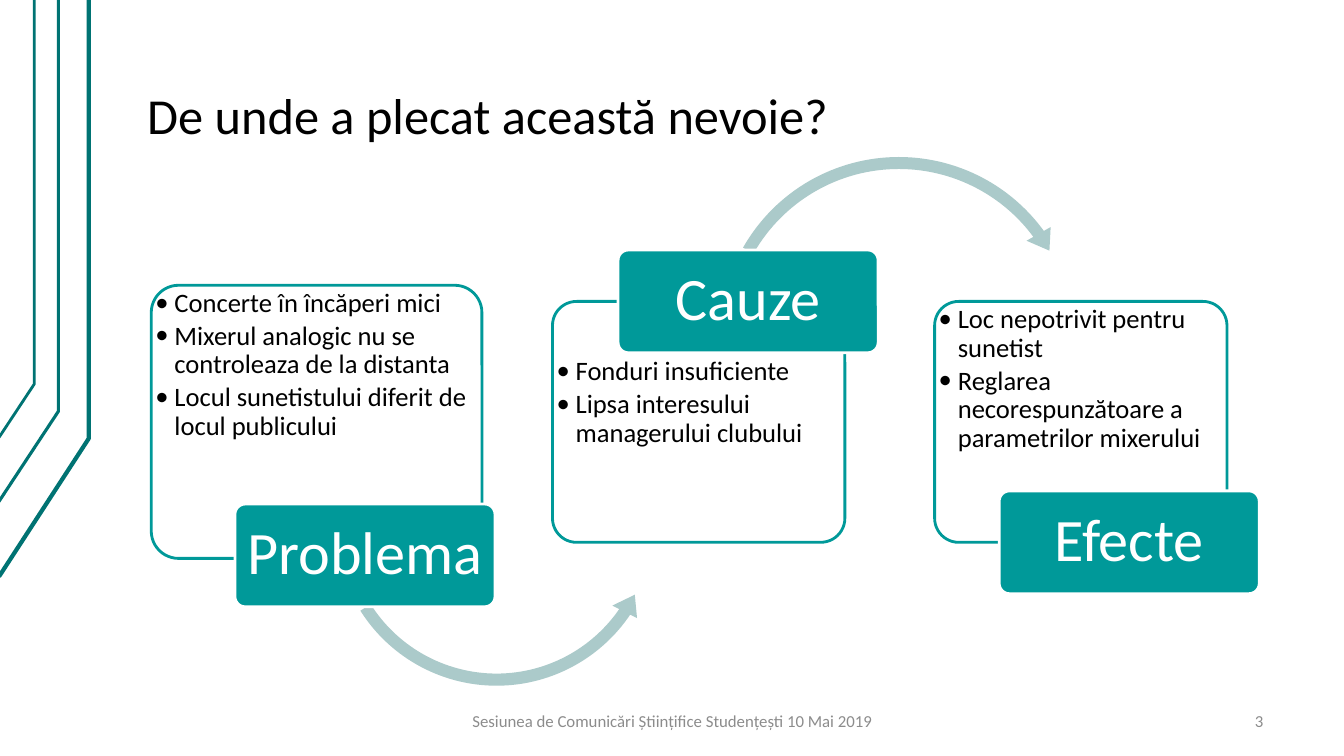
"""Build a slide linking problem, causes and effects with curved arrows."""
import lxml.etree
import pptx
import pptx.dml.color
import pptx.enum.shapes
import pptx.enum.text
import pptx.oxml.ns
import pptx.util

Inches, Pt = pptx.util.Inches, pptx.util.Pt
SHAPE = pptx.enum.shapes.MSO_SHAPE
ALIGN = pptx.enum.text.PP_ALIGN
ANCHOR = pptx.enum.text.MSO_ANCHOR
TEAL, DARK_TEAL, PALE_TEAL = "009999", "007373", "ABCACA"
WHITE, BLACK, GREY = "FFFFFF", "000000", "8C8C8C"


def paint(s, fill, line=None, width=0):
    s.shadow.inherit = False
    if fill:
        s.fill.solid()
        s.fill.fore_color.rgb = pptx.dml.color.RGBColor.from_string(fill)
    else:
        s.fill.background()
    if line:
        s.line.color.rgb = pptx.dml.color.RGBColor.from_string(line)
        s.line.width = Pt(width)
    else:
        s.line.fill.background()


def write(s, lines, size, color, align, anchor, inset, spacing=1.0, wrap=True):
    tf = s.text_frame
    tf.text = "\n".join(lines)
    tf.word_wrap = wrap
    tf.auto_size = pptx.enum.text.MSO_AUTO_SIZE.NONE
    tf.vertical_anchor = anchor
    tf.margin_left = tf.margin_right = Inches(inset[0])
    tf.margin_top = tf.margin_bottom = Inches(inset[1])
    for p in tf.paragraphs:
        p.alignment = align
        p.line_spacing = spacing
        for r in p.runs:
            r.font.size = Pt(size)
            r.font.name = "Calibri"
            r.font.color.rgb = pptx.dml.color.RGBColor.from_string(color)
    return tf


prs = pptx.Presentation()
prs.slide_width, prs.slide_height = Inches(13.33), Inches(7.5)
slide = prs.slides.add_slide(prs.slide_layouts[5])
shapes = slide.shapes

title = shapes.title
title.left, title.top, title.width, title.height = map(Inches, (1.33, 0.17, 11.33, 1.34))
write(title, ["De unde a plecat această nevoie?"], 36, BLACK,
      ALIGN.LEFT, ANCHOR.BOTTOM, (0.13, 0.07), 0.9)

for x, bend, left, bottom, width in [
    (0.88, 4.35, -0.01, 5.72, 3),
    (0.58, 4.08, -0.02, 4.99, 2.25),
    (0.34, 3.81, -0.01, 4.34, 2),
]:
    builder = shapes.build_freeform(Inches(left), Inches(bottom))
    builder.add_line_segments([(Inches(x), Inches(bend)), (Inches(x), 0)], close=False)
    paint(builder.convert_to_shape(), None, DARK_TEAL, width)

down_arrow = (SHAPE.LEFT_CIRCULAR_ARROW, 3.25, 3.53, 3.35,
              (0.036, 4.418, 20.551, 88.623, 0.041))
up_arrow = (SHAPE.CIRCULAR_ARROW, 7.06, 1.48, 3.71,
            (0.032, 3.955, 194.29, 125.755, 0.037))
stages = [
    ("Problema", (1.5, 2.83, 3.28, 2.71), 2.83, (2.33, 5), down_arrow,
     ["Concerte în încăperi mici",
      "Mixerul analogic nu se controleaza de la distanta",
      "Locul sunetistului diferit de locul publicului"]),
    ("Cauze", (5.48, 2.99, 2.9, 2.39), 3.51, (6.13, 2.48), up_arrow,
     ["Fonduri insuficiente", "Lipsa interesului managerului clubului"]),
    ("Efecte", (9.27, 2.99, 2.9, 2.39), 2.99, (9.91, 4.87), None,
     ["Loc nepotrivit pentru sunetist",
      "Reglarea necorespunzătoare a parametrilor mixerului"]),
]
for name, box, text_top, label_at, arrow, points in stages:
    s = shapes.add_shape(SHAPE.ROUNDED_RECTANGLE, *map(Inches, box))
    s.adjustments[0] = 0.1
    paint(s, WHITE, TEAL, 2)

    left, top, width, height = box
    s = shapes.add_textbox(*map(Inches, (left, text_top, width, height - 0.55)))
    tf = write(s, points, 19, BLACK, ALIGN.LEFT, ANCHOR.TOP, (0.04, 0.04), 0.9)
    for p in tf.paragraphs:
        p.space_after = Pt(3)
        pPr = p._p.get_or_add_pPr()
        pPr.set("marL", str(Inches(0.19)))
        pPr.set("indent", str(-Inches(0.19)))
        for tag, key, value in [("a:buFont", "typeface", "Calibri"), ("a:buChar", "char", "•")]:
            lxml.etree.SubElement(pPr, pptx.oxml.ns.qn(tag)).set(key, value)

    if arrow:
        kind, left, top, size, adjustments = arrow
        s = shapes.add_shape(kind, *map(Inches, (left, top, size, size)))
        for i, value in enumerate(adjustments):
            s.adjustments[i] = value
        paint(s, PALE_TEAL)

    s = shapes.add_shape(SHAPE.ROUNDED_RECTANGLE, *map(Inches, (*label_at, 2.58, 1.02)))
    s.adjustments[0] = 0.1
    paint(s, TEAL, WHITE, 2)
    write(s, [name], 43, WHITE, ALIGN.CENTER, ANCHOR.MIDDLE, (0.06, 0.03), 0.9, wrap=False)

for text, left, width, align in [
    ("3", 11.55, 1.11, ALIGN.RIGHT),
    ("Sesiunea de Comunicări Științifice Studențești 10 Mai 2019", 3.78, 5.78, ALIGN.CENTER),
]:
    s = shapes.add_textbox(*map(Inches, (left, 6.95, width, 0.4)))
    write(s, [text], 12, GREY, align, ANCHOR.MIDDLE, (0.13, 0.07))

prs.save("out.pptx")
